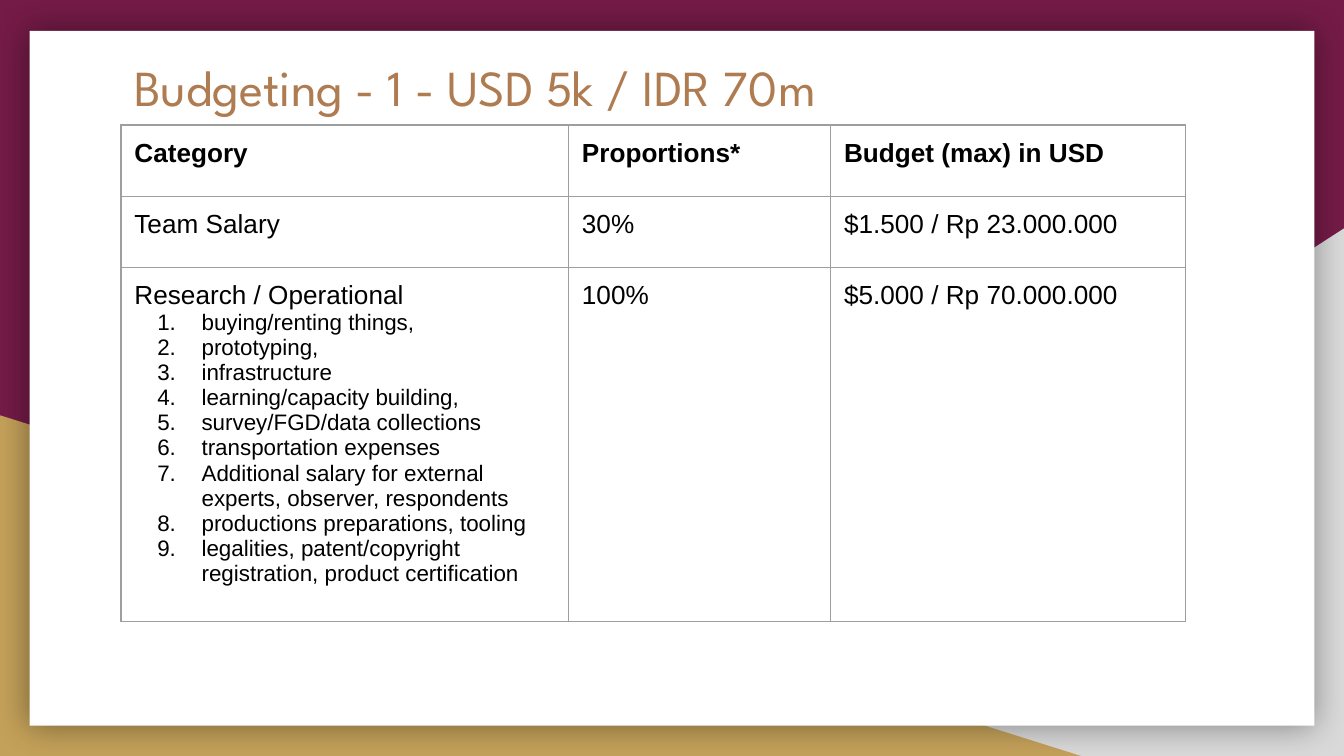
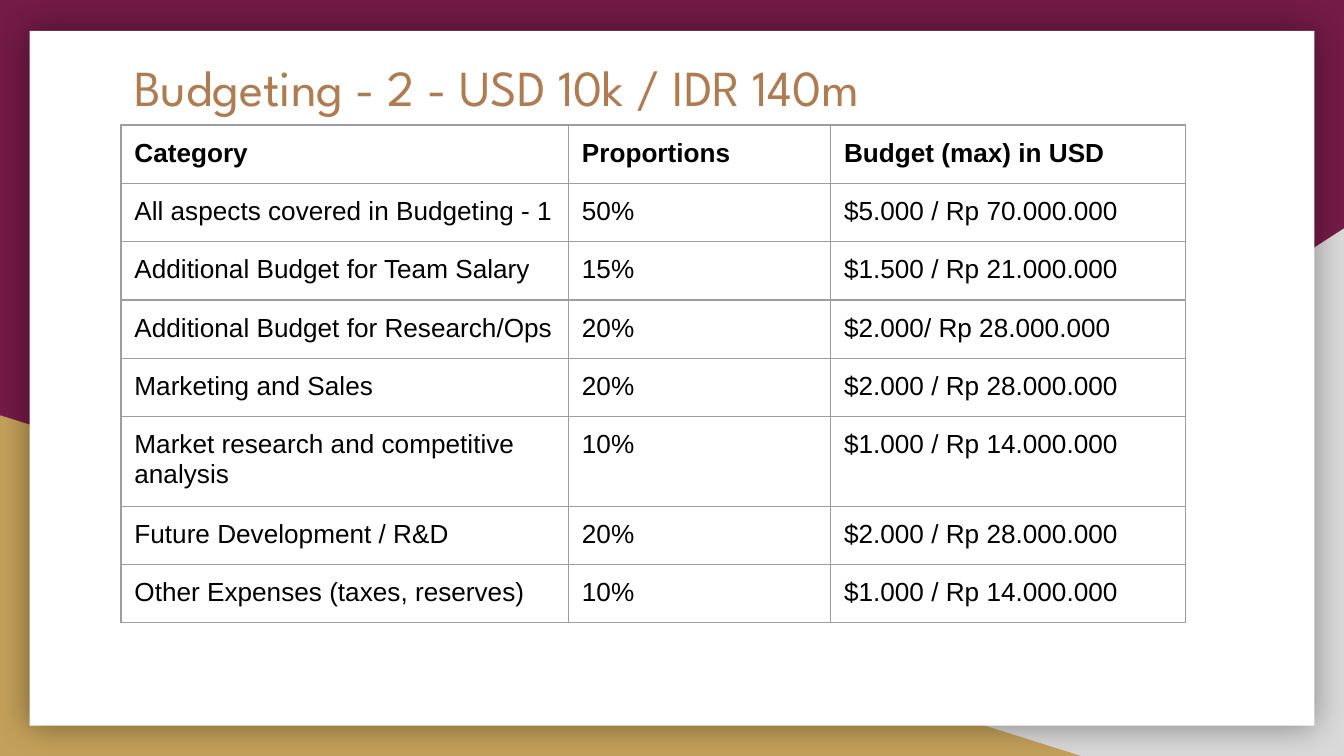
from lxml.etree import SubElement
from pptx import Presentation
from pptx.dml.color import RGBColor
from pptx.enum.shapes import MSO_SHAPE as Preset
from pptx.oxml.ns import qn
from pptx.util import Inches, Pt

PLUM, GOLD, SILVER, WHITE = "741B47", "C4A15A", "D9D9D9", "FFFFFF"
BRONZE, BLACK, RULE = "AF7B51", "000000", "9E9E9E"
TITLE_FORMAT = {"name": "League Spartan", "size": Pt(27)}
HEADER_FORMAT = {"name": "Arial", "size": Pt(14), "bold": True}
BODY_FORMAT = {"name": "Arial", "size": Pt(14), "bold": False}
ITEM_FORMAT = {"name": "Arial", "size": Pt(12), "bold": False}
INSETS = {f"margin_{side}": Inches(0.1) for side in ("left", "top", "right", "bottom")}
COLUMN_WIDTHS = [3.33, 1.95, 2.64]
BUDGET_BOX = (0.9, 0.93, 3.28, 3.28)

OPERATIONS = [
    "buying/renting things,",
    "prototyping,",
    "infrastructure",
    "learning/capacity building,",
    "survey/FGD/data collections",
    "transportation expenses",
    "Additional salary for external experts, observer, respondents",
    "productions preparations, tooling",
    "legalities, patent/copyright registration, product certification",
]
BUDGETS = [
    (
        "Budgeting - 1 - USD 5k / IDR 70m",
        [0.53, 0.53, 0.82],
        [
            ("Category", "Proportions*", "Budget (max) in USD"),
            ("Team Salary", "30%", "$1.500 / Rp 23.000.000"),
            (["Research / Operational", *OPERATIONS], "100%", "$5.000 / Rp 70.000.000"),
        ],
    ),
    (
        "Budgeting - 2 - USD 10k / IDR 140m",
        [0.12] * 2 + [0.19] * 6,
        [
            ("Category", "Proportions", "Budget (max) in USD"),
            ("All aspects covered in Budgeting - 1", "50%", "$5.000 / Rp 70.000.000"),
            ("Additional Budget for Team Salary", "15%", "$1.500 / Rp 21.000.000"),
            ("Additional Budget for Research/Ops", "20%", "$2.000/ Rp 28.000.000"),
            ("Marketing and Sales", "20%", "$2.000 / Rp 28.000.000"),
            ("Market research and competitive analysis", "10%", "$1.000 / Rp 14.000.000"),
            ("Future Development / R&D", "20%", "$2.000 / Rp 28.000.000"),
            ("Other Expenses (taxes, reserves)", "10%", "$1.000 / Rp 14.000.000"),
        ],
    ),
]


def paint(color_format, color):
    color_format.rgb = RGBColor.from_string(color)


def assign(target, values):
    for key, value in values.items():
        setattr(target, key, value)


def write(paragraph, text, font_format, color):
    run = paragraph.add_run()
    run.text = text
    assign(run.font, font_format)
    paint(run.font.color, color)


def add_panel(slide, preset, box, color):
    panel = slide.shapes.add_shape(preset, *map(Inches, box))
    panel.shadow.inherit = False
    panel.fill.solid()
    paint(panel.fill.fore_color, color)
    panel.line.fill.background()
    return panel


def add_glow(panel):
    effects = panel.element.spPr.find(qn("a:effectLst"))
    shadow = SubElement(effects, qn("a:outerShdw"), blurRad=str(Pt(18)), dist="0",
                        dir="0", algn="ctr", rotWithShape="0")
    tint = SubElement(shadow, qn("a:srgbClr"), val=BLACK)
    SubElement(tint, qn("a:alpha"), val="40000")


def add_backdrop(slide):
    slide.background.fill.solid()
    paint(slide.background.fill.fore_color, PLUM)
    right_corner = add_panel(slide, Preset.RIGHT_TRIANGLE, (3.92, 1.7, 6.08, 3.93), SILVER)
    right_corner.element.spPr.find(qn("a:xfrm")).set("flipH", "1")
    add_panel(slide, Preset.RIGHT_TRIANGLE, (0, 3.09, 8.06, 2.54), GOLD)
    add_glow(add_panel(slide, Preset.RECTANGLE, (0.22, 0.23, 9.56, 5.17), WHITE))


def add_title(slide, text):
    title = slide.shapes.add_textbox(*map(Inches, (0.9, 0.32, 8.21, 0.62))).text_frame
    title.word_wrap = True
    assign(title, INSETS)
    write(title.paragraphs[0], text, TITLE_FORMAT, BRONZE)


def number(paragraph):
    properties = paragraph._p.get_or_add_pPr()
    properties.set("marL", str(Inches(0.5)))
    properties.set("indent", str(Inches(-0.33)))
    tint = SubElement(properties, qn("a:buClr"))
    SubElement(tint, qn("a:srgbClr"), val=BLACK)
    SubElement(properties, qn("a:buFont"), typeface="Arial")
    SubElement(properties, qn("a:buAutoNum"), type="arabicPeriod")


def rule_cell(cell):
    properties = cell._tc.get_or_add_tcPr()
    for edge in ("a:lnL", "a:lnR", "a:lnT", "a:lnB"):
        line = SubElement(properties, qn(edge), w=str(Pt(0.75)))
        fill = SubElement(line, qn("a:solidFill"))
        SubElement(fill, qn("a:srgbClr"), val=RULE)


def fill_cell(cell, content, font_format):
    assign(cell, INSETS)
    rule_cell(cell)
    cell.fill.background()
    heading, *items = [content] if isinstance(content, str) else content
    write(cell.text_frame.paragraphs[0], heading, font_format, BLACK)
    for item in items:
        paragraph = cell.text_frame.add_paragraph()
        number(paragraph)
        write(paragraph, item, ITEM_FORMAT, BLACK)


def add_budget(slide, heights, rows):
    left, top, width, height = map(Inches, BUDGET_BOX)
    frame = slide.shapes.add_table(len(rows), len(COLUMN_WIDTHS), left, top, width, height)
    budget = frame.table
    assign(budget, {"first_row": False, "horz_banding": False})
    for column, column_width in zip(budget.columns, COLUMN_WIDTHS):
        column.width = Inches(column_width)
    for index, (row, row_height, contents) in enumerate(zip(budget.rows, heights, rows)):
        row.height = Inches(row_height)
        for cell, content in zip(row.cells, contents):
            fill_cell(cell, content, BODY_FORMAT if index else HEADER_FORMAT)
    assign(frame, {"width": width, "height": height})


def main():
    deck = Presentation()
    assign(deck, {"slide_width": Inches(10), "slide_height": Inches(10 * 9 / 16)})
    for title, heights, rows in BUDGETS:
        slide = deck.slides.add_slide(deck.slide_layouts[6])
        add_backdrop(slide)
        add_title(slide, title)
        add_budget(slide, heights, rows)
    deck.save("out.pptx")


if __name__ == "__main__":
    main()
